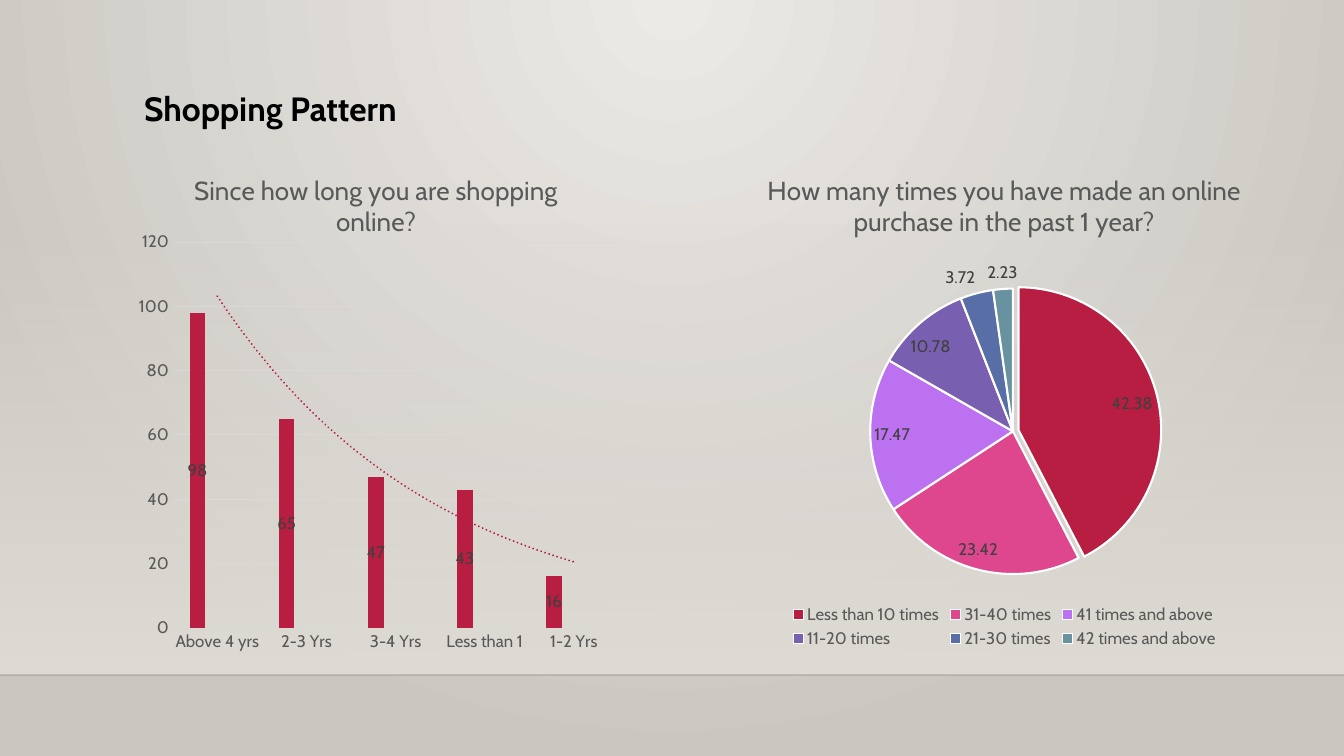
from pptx import Presentation
from pptx.chart.data import CategoryChartData
from pptx.dml.color import RGBColor
from pptx.enum.chart import XL_CHART_TYPE as ChartType
from pptx.enum.chart import XL_LABEL_POSITION as LabelPosition
from pptx.enum.chart import XL_LEGEND_POSITION as LegendPosition
from pptx.enum.chart import XL_TICK_MARK as TickMark
from pptx.enum.shapes import MSO_CONNECTOR as Connector
from pptx.enum.shapes import MSO_SHAPE as Shape
from pptx.enum.text import MSO_ANCHOR as Anchor
from pptx.enum.text import MSO_AUTO_SIZE as AutoSize
from pptx.enum.text import PP_ALIGN as Align
from pptx.oxml import parse_xml
from pptx.oxml.ns import nsdecls, qn
from pptx.util import Emu, Pt

# Content
HEADING = "Shopping Pattern"
TENURE_TITLE = "Since how long you are shopping online?"
TENURE = {"Above 4 yrs": 98, "2-3 Yrs": 65, "3-4 Yrs": 47, "Less than 1": 43, "1-2 Yrs": 16}
TENURE_SERIES = [("Series 1", "B71E42"), ("Series 2", "DE478E"), ("Series 3", "BC72F0")]
COUNT_TITLE = "How many times you have made an online purchase in the past 1 year?"
COUNTS = [
    ("Less than 10 times", 42.38, "B71E42"),
    ("31-40 times", 23.42, "DE478E"),
    ("41 times and above", 17.47, "BC72F0"),
    ("11-20 times", 10.78, "795FAF"),
    ("21-30 times", 3.72, "586EA6"),
    ("42 times and above", 2.23, "6892A0"),
]

# Layout, in px
WIDTH, HEIGHT = 1344, 756
HEADING_BOX = (134, 83, 297, 50)
FLOOR_TOP, FLOOR_LINE = 223, 675
TENURE_BOX = (134, 152, 485, 501)
COUNT_BOX = (680, 152, 649, 501)
TENURE_PLOT = {"x": 0.09, "y": 0.18, "w": 0.92, "h": 0.77}

FONT = "Cabin"
GREY, LABEL_GREY, RULE_GREY = "595959", "404040", "D9D9D9"


def px(length):
    return Emu(round(length * 12192000 / WIDTH))


def color(value):
    return RGBColor.from_string(value)


def style(font, size, value, bold=False):
    font.name, font.size, font.bold = FONT, Pt(size), bold
    font.color.rgb = color(value)


def set_gradient(fill, owner, stops, direction):
    """Give the fill (position, colour, opacity) stops, all in percent."""
    fill.gradient()
    gradient = owner.find(".//" + qn("a:gradFill"))
    for child in list(gradient):
        gradient.remove(child)
    marks = "".join(
        f'<a:gs pos="{position * 1000}"><a:srgbClr val="{value}">'
        f'<a:alpha val="{opacity * 1000}"/></a:srgbClr></a:gs>'
        for position, value, opacity in stops
    )
    gradient.append(parse_xml(f'<a:gsLst {nsdecls("a")}>{marks}</a:gsLst>'))
    gradient.append(parse_xml(direction))


def add_chart(kind, box, data, title):
    chart = slide.shapes.add_chart(kind, *map(px, box), data).chart
    style(chart.font, 10, "000000")
    chart.has_title = True
    chart.chart_title.include_in_layout = False
    para = chart.chart_title.text_frame.paragraphs[0]
    para.text = title
    style(para.font, 18.6, GREY)
    chart.has_legend = False
    return chart


def show_values(series, position):
    labels = series.data_labels
    labels.show_value = True
    labels.position = position
    style(labels.font, 12, LABEL_GREY)


deck = Presentation()
deck.slide_width, deck.slide_height = px(WIDTH), px(HEIGHT)
slide = deck.slides.add_slide(deck.slide_layouts[5])

# Background, floor glow and floor line
set_gradient(
    slide.background.fill, slide.element,
    [(0, "ECEAE7", 100), (100, "CAC7C1", 100)],
    f'<a:path {nsdecls("a")} path="circle">'
    '<a:fillToRect l="43000" t="0" r="43000" b="100000"/></a:path>',
)
glow = slide.shapes.add_shape(
    Shape.RECTANGLE, 0, px(FLOOR_TOP), px(WIDTH), px(FLOOR_LINE - FLOOR_TOP))
glow.shadow.inherit = False
glow.line.fill.background()
set_gradient(
    glow.fill, glow.element,
    [(0, "DFDBD5", 0), (100, "DFDBD5", 100)],
    f'<a:lin {nsdecls("a")} ang="5400000" scaled="0"/>',
)
floor = slide.shapes.add_connector(
    Connector.STRAIGHT, 0, px(FLOOR_LINE), px(WIDTH), px(FLOOR_LINE))
floor.line.width = Pt(1)
floor.line.color.rgb = color("000001")
floor.element.find(".//" + qn("a:srgbClr")).append(
    parse_xml(f'<a:alpha {nsdecls("a")} val="20000"/>'))
floor.element.spPr.append(parse_xml(f'<a:effectLst {nsdecls("a")}/>'))

# Heading
heading = slide.shapes.title
heading.left, heading.top, heading.width, heading.height = map(px, HEADING_BOX)
frame = heading.text_frame
frame.text = HEADING
frame.word_wrap = False
frame.auto_size = AutoSize.SHAPE_TO_FIT_TEXT
frame.vertical_anchor = Anchor.TOP
para = frame.paragraphs[0]
para.alignment = Align.LEFT
style(para.font, 24, "000000", bold=True)

# Column chart: the two later series are empty and only take up room
data = CategoryChartData()
data.categories = list(TENURE)
for index, (name, _) in enumerate(TENURE_SERIES):
    data.add_series(name, TENURE.values() if index == 0 else [None] * len(TENURE))
chart = add_chart(ChartType.COLUMN_CLUSTERED, TENURE_BOX, data, TENURE_TITLE)
plot = chart.plots[0]
plot.gap_width, plot.overlap, plot.vary_by_categories = 219, -27, False
for series, (_, value) in zip(plot.series, TENURE_SERIES):
    series.format.fill.solid()
    series.format.fill.fore_color.rgb = color(value)
    show_values(series, LabelPosition.CENTER)

for axis in (chart.category_axis, chart.value_axis):
    axis.major_tick_mark = axis.minor_tick_mark = TickMark.NONE
    style(axis.tick_labels.font, 12, GREY)
chart.value_axis.minimum_scale, chart.value_axis.maximum_scale = 0, 120
chart.value_axis.major_unit = 20
chart.value_axis.format.line.fill.background()
for line in (chart.category_axis.format.line, chart.value_axis.major_gridlines.format.line):
    line.color.rgb = color(RULE_GREY)
    line.width = Pt(0.75)

# Exponential trend line and fixed plot area
first = plot.series[0]._element
first.find(qn("c:cat")).addprevious(parse_xml(
    f'<c:trendline {nsdecls("c", "a")}><c:spPr><a:ln w="{Pt(1.5)}" cap="rnd"><a:solidFill>'
    f'<a:srgbClr val="{TENURE_SERIES[0][1]}"/></a:solidFill><a:prstDash val="sysDot"/></a:ln>'
    '</c:spPr><c:trendlineType val="exp"/><c:dispRSqr val="0"/><c:dispEq val="0"/>'
    '</c:trendline>'))
area = chart.element.find(".//" + qn("c:plotArea"))
for old in area.findall(qn("c:layout")):
    area.remove(old)
modes = "".join(f'<c:{side}Mode val="edge"/>' for side in "xy")
places = "".join(f'<c:{side} val="{share}"/>' for side, share in TENURE_PLOT.items())
area.insert(0, parse_xml(
    f'<c:layout {nsdecls("c")}><c:manualLayout><c:layoutTarget val="inner"/>'
    f'{modes}{places}</c:manualLayout></c:layout>'))

# Pie chart with its first slice pulled out
names, values, colors = zip(*COUNTS)
data = CategoryChartData()
data.categories = names
data.add_series(COUNT_TITLE, values)
chart = add_chart(ChartType.PIE, COUNT_BOX, data, COUNT_TITLE)
series = chart.plots[0].series[0]
for index, value in enumerate(colors):
    slice_format = series.points[index].format
    slice_format.fill.solid()
    slice_format.fill.fore_color.rgb = color(value)
    slice_format.line.color.rgb = color("FFFFFF")
    slice_format.line.width = Pt(1.5)
show_values(series, LabelPosition.BEST_FIT)
series._element.find(qn("c:dPt")).find(qn("c:spPr")).addprevious(
    parse_xml(f'<c:explosion {nsdecls("c")} val="4"/>'))
chart.has_legend = True
chart.legend.position = LegendPosition.BOTTOM
chart.legend.include_in_layout = False
style(chart.legend.font, 12, GREY)

deck.save("out.pptx")
